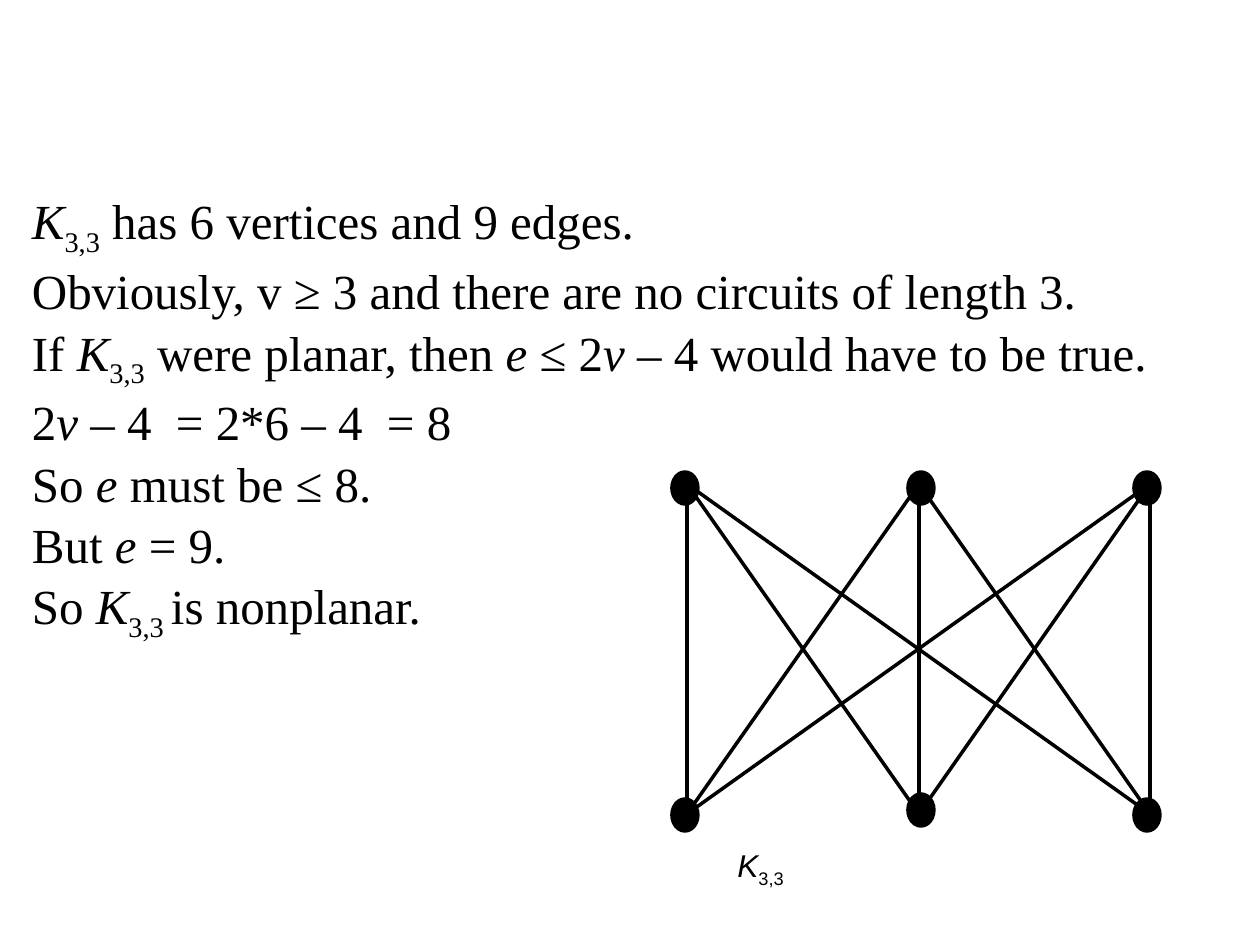
"""Build a slide showing that the graph K3,3 is nonplanar."""
from itertools import product

from lxml.etree import SubElement
from pptx import Presentation
from pptx.dml.color import RGBColor
from pptx.enum.shapes import MSO_CONNECTOR as Connector, MSO_SHAPE as Shape
from pptx.oxml.ns import qn
from pptx.util import Emu, Pt

BLACK = RGBColor(0x00, 0x00, 0x00)
PX = 914400 // 126
PROOF = [
    "/K|_3,3| has 6 vertices and 9 edges.",
    "Obviously, v ≥ 3 and there are no circuits of length 3.",
    "If |/K|_3,3| were planar, then |/e| ≤ 2|/v| – 4 would have to be true.",
    "2|/v| – 4  = 2*6 – 4  = 8",
    "So |/e| must be ≤ 8.",
    "But |/e| = 9.",
    "So |/K|_3,3 |is nonplanar.",
]
EDGE_COLUMNS = (687, 919, 1150)
EDGE_TOP, EDGE_BOTTOM = 484, 814
VERTICES = [(672, 472), (908, 472), (1134, 472), (672, 799), (908, 794), (1134, 799)]


def px(*lengths):
    return [Emu(length * PX) for length in lengths]


def write(para, text, *, font, size, color=BLACK, before=0):
    """Fill a paragraph from pieces split by |, where / is italic and _ subscript."""
    para.space_before = Pt(before)
    for piece in text.split("|"):
        span = para.add_run()
        span.text = piece.lstrip("/_")
        span.font.name = font
        span.font.size = Pt(size)
        span.font.color.rgb = color
        span.font.italic = piece.startswith("/")
        if piece.startswith("_"):
            span.font._element.set("baseline", "-25000")


class GraphSlide:
    """Hold the drawing style and the current slide."""

    def __init__(self, page, color=BLACK, weight=2):
        self.page = page
        self.color = color
        self.weight = Pt(weight)

    def text(self, left, top, width, height, lines, inset=None, **style):
        box = self.page.shapes.add_textbox(*px(left, top, width, height))
        frame = box.text_frame
        frame.word_wrap = True
        if inset is not None:
            frame.margin_left = frame.margin_right = Emu(inset)
            frame.margin_top = frame.margin_bottom = Emu(inset)
        for index, line in enumerate(lines):
            para = frame.add_paragraph() if index else frame.paragraphs[0]
            write(para, line, **style)

    def edge(self, *ends):
        line = self.page.shapes.add_connector(Connector.STRAIGHT, *px(*ends))
        line.line.color.rgb = self.color
        line.line.width = self.weight
        SubElement(line._element.spPr, qn("a:effectLst"))

    def vertex(self, left, top):
        dot = self.page.shapes.add_shape(Shape.OVAL, *px(left, top, 26, 32))
        dot.shadow.inherit = False
        dot.fill.solid()
        dot.fill.fore_color.rgb = self.color
        dot.line.color.rgb = self.color
        dot.line.width = self.weight


def main():
    deck = Presentation()
    deck.slide_width, deck.slide_height = px(1260, 945)
    slide = GraphSlide(deck.slides.add_slide(deck.slide_layouts[6]))
    slide.text(32, 191, 1197, 525, PROOF, inset=0,
               font="Times New Roman", size=28, before=1.5)
    for start, end in product(EDGE_COLUMNS, repeat=2):
        slide.edge(start, EDGE_TOP, end, EDGE_BOTTOM)
    for left, top in VERTICES:
        slide.vertex(left, top)
    slide.text(725, 840, 179, 50, ["/K|_3,3"], font="Arial", size=18)
    deck.save("out.pptx")


if __name__ == "__main__":
    main()
